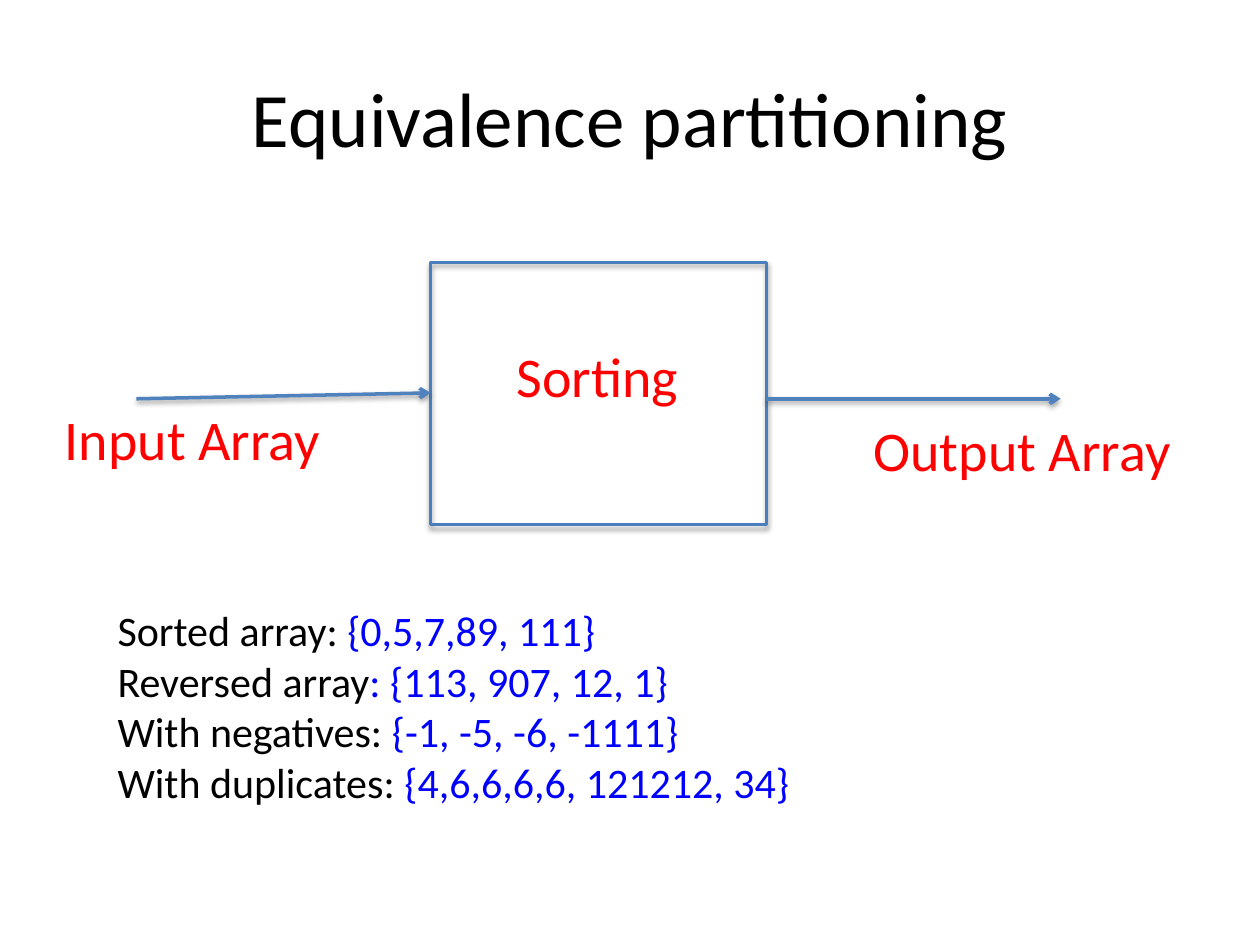
from lxml.etree import SubElement
from pptx import Presentation
from pptx.dml.color import RGBColor
from pptx.enum.shapes import MSO_CONNECTOR, MSO_SHAPE
from pptx.enum.text import MSO_ANCHOR, MSO_AUTO_SIZE, PP_ALIGN
from pptx.oxml.ns import qn
from pptx.util import Cm, Pt

FONT = "Calibri"
BLACK, RED, BLUE = "000000", "FF0000", "0000FF"
BOX_LINE, ARROW_LINE = "4B7EBC", "4F81BD"

# Content: positions and sizes in centimetres
TITLE = ("Equivalence partitioning", (1.27, 0.76, 22.86, 3.18))
SORTING_BOX = (8.68, 5.29, 6.77, 5.29)
LABELS = [
    ("Sorting", (10.16, 6.77, 3.81, 1.62)),
    ("Input Array", (1.06, 8.04, 5.74, 5.74)),
    ("Output Array", (17.36, 8.26, 6.6, 1.62)),
]
ARROWS = [
    (2.75, 8.04, 8.68, 7.92),
    (15.45, 8.04, 21.38, 8.04),
]
EXAMPLES_AREA = (2.12, 12.07, 14.3, 4.36)
EXAMPLES = [
    ("Sorted array: ", "{0,5,7,89, 111}"),
    ("Reversed array", ": {113, 907, 12, 1}"),
    ("With negatives: ", "{-1, -5, -6, -1111}"),
    ("With duplicates: ", "{4,6,6,6,6, 121212, 34}"),
]


def lengths(values):
    return [Cm(value) for value in values]


def color(hex_string):
    return RGBColor.from_string(hex_string)


def format_run(run, size, hex_string):
    run.font.name = FONT
    run.font.size = Pt(size)
    run.font.color.rgb = color(hex_string)


def add_text(slide, area, lines, size, wrap=False):
    """Add a text box; each line is a list of (text, colour) pieces."""
    shape = slide.shapes.add_textbox(*lengths(area))
    text_frame = shape.text_frame
    text_frame.word_wrap = wrap
    text_frame.auto_size = MSO_AUTO_SIZE.NONE if wrap else MSO_AUTO_SIZE.SHAPE_TO_FIT_TEXT
    for index, pieces in enumerate(lines):
        paragraph = text_frame.add_paragraph() if index else text_frame.paragraphs[0]
        for text, hex_string in pieces:
            run = paragraph.add_run()
            run.text = text
            format_run(run, size, hex_string)
    return text_frame


def style_line(shape, hex_string, distance, opacity, arrow=False):
    """Set a 2 pt outline, an optional arrowhead and a soft shadow below."""
    shape.line.color.rgb = color(hex_string)
    shape.line.width = Pt(2)
    properties = shape._element.spPr
    if arrow:
        SubElement(properties.find(qn("a:ln")), qn("a:tailEnd"), type="arrow")
    effects = properties.find(qn("a:effectLst"))
    if effects is None:
        effects = SubElement(properties, qn("a:effectLst"))
    shadow = SubElement(effects, qn("a:outerShdw"), blurRad=str(Pt(3.1)),
                        dist=str(Pt(distance)), dir="5400000", rotWithShape="0")
    shade = SubElement(shadow, qn("a:srgbClr"), val=BLACK)
    SubElement(shade, qn("a:alpha"), val=str(opacity * 1000))


def main():
    presentation = Presentation()
    presentation.slide_width, presentation.slide_height = Cm(25.4), Cm(19.05)
    slide = presentation.slides.add_slide(presentation.slide_layouts[6])

    # Title
    text, area = TITLE
    text_frame = add_text(slide, area, [[(text, BLACK)]], 44, wrap=True)
    text_frame.vertical_anchor = MSO_ANCHOR.MIDDLE
    text_frame.paragraphs[0].alignment = PP_ALIGN.CENTER

    # Sorting box with its input and output arrows
    box = slide.shapes.add_shape(MSO_SHAPE.RECTANGLE, *lengths(SORTING_BOX))
    box.shadow.inherit = False
    box.fill.background()
    style_line(box, BOX_LINE, 1.8, 35)
    for ends in ARROWS:
        arrow = slide.shapes.add_connector(MSO_CONNECTOR.STRAIGHT, *lengths(ends))
        style_line(arrow, ARROW_LINE, 1.6, 38, arrow=True)

    # Diagram labels
    for text, area in LABELS:
        add_text(slide, area, [[(text, RED)]], 32)

    # Example arrays
    lines = [[(name, BLACK), (values, BLUE)] for name, values in EXAMPLES]
    add_text(slide, EXAMPLES_AREA, lines, 24)

    presentation.save("out.pptx")


if __name__ == "__main__":
    main()
